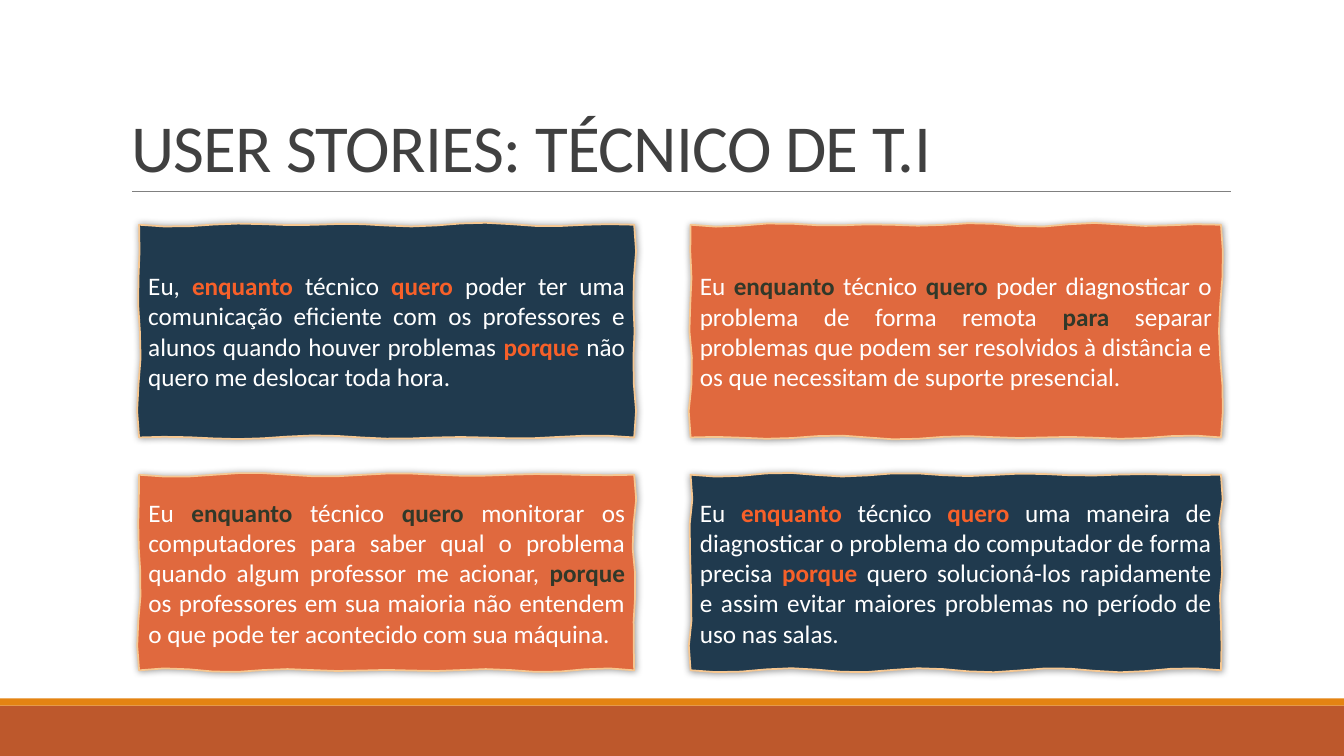
import math
from collections import namedtuple

from lxml import etree
from pptx import Presentation
from pptx.dml.color import RGBColor
from pptx.enum import shapes, text
from pptx.oxml import ns
from pptx.util import Inches, Pt

NAVY = RGBColor(0x20, 0x3A, 0x4E)
ORANGE = RGBColor(0xE0, 0x69, 0x3E)
BRIGHT_ORANGE = RGBColor(0xF7, 0x60, 0x29)
DARK_OLIVE = RGBColor(0x31, 0x38, 0x29)
CREAM = RGBColor(0xF6, 0xC7, 0x91)
WHITE = RGBColor(0xFF, 0xFF, 0xFF)
TITLE_GRAY = RGBColor(0x40, 0x40, 0x40)
RULE_GRAY = RGBColor(0x80, 0x80, 0x80)
BAND_RUST = RGBColor(0xBD, 0x58, 0x2C)
BAND_AMBER = RGBColor(0xE4, 0x83, 0x12)
FONT = "Calibri"
WAVE = 0.02  # height of the ragged edge, in inches

Box = namedtuple("Box", "left top width height")
Theme = namedtuple("Theme", "fill keyword")
NAVY_CARD = Theme(NAVY, BRIGHT_ORANGE)
ORANGE_CARD = Theme(ORANGE, DARK_OLIVE)

COLUMNS = [(1.38, 4.91), (6.85, 5.26)]  # left, width
ROWS = [(2.23, 2.11), (4.71, 1.94)]  # top, height

# Asterisks enclose the keywords of each story
STORIES = [
    [
        "Eu, *enquanto *técnico *quero *poder ter uma comunicação eficiente com os "
        "professores e alunos quando houver problemas *porque *não quero me deslocar "
        "toda hora.",
        "Eu *enquanto *técnico *quero *poder diagnosticar o problema de forma remota "
        "*para* separar problemas que podem ser resolvidos à distância e os que "
        "necessitam de suporte presencial.",
    ],
    [
        "Eu *enquanto *técnico *quero *monitorar os computadores para saber qual o "
        "problema quando algum professor me acionar, *porque *os professores em sua "
        "maioria não entendem o que pode ter acontecido com sua máquina.",
        "Eu *enquanto *técnico *quero *uma maneira de diagnosticar o problema do "
        "computador de forma precisa *porque* quero solucioná-los rapidamente e assim "
        "evitar maiores problemas no período de uso nas salas.",
    ],
]


def add_effects(shape):
    return etree.SubElement(shape._element.spPr, ns.qn("a:effectLst"))


def add_soft_shadow(shape):
    glow = etree.SubElement(add_effects(shape), ns.qn("a:outerShdw"),
                            blurRad=str(Pt(5)), dist="0", dir="0", algn="ctr", rotWithShape="0")
    black = etree.SubElement(glow, ns.qn("a:srgbClr"), val="000000")
    etree.SubElement(black, ns.qn("a:alpha"), val="40000")


def ragged_points(box, seed):
    """Walk clockwise round the box, swaying across each edge."""
    left, top, width, height = box
    right, bottom = left + width, top + height
    corners = [(left, top), (right, top), (right, bottom), (left, bottom), (left, top)]
    points = []
    for side, ((x1, y1), (x2, y2)) in enumerate(zip(corners, corners[1:])):
        length = math.hypot(x2 - x1, y2 - y1)
        steps = round(length / 0.25)
        waves = round(length * 1.5) + (seed + side) % 3
        for step in range(steps):
            t = step / steps
            sway = WAVE * (0.6 * math.sin(math.pi * waves * t)
                           + 0.4 * math.sin(math.pi * (waves // 2 + seed) * t))
            points.append((Inches(x1 + (x2 - x1) * t + sway * (y2 - y1) / length),
                           Inches(y1 + (y2 - y1) * t + sway * (x2 - x1) / length)))
    return points


def add_story_card(slide, box, story, theme, seed):
    # Ragged sheet with a cream edge
    start, *others = ragged_points(box, seed)
    outline = slide.shapes.build_freeform(*start)
    outline.add_line_segments(others, close=True)
    card = outline.convert_to_shape()
    card.fill.solid()
    card.fill.fore_color.rgb = theme.fill
    card.line.color.rgb = CREAM
    card.line.width = Pt(1.25)
    add_soft_shadow(card)

    # Story with highlighted keywords
    frame = card.text_frame
    frame.word_wrap = True
    frame.vertical_anchor = text.MSO_ANCHOR.MIDDLE
    frame.margin_left = frame.margin_right = Inches(0.1 + WAVE / 2)
    paragraph = frame.paragraphs[0]
    paragraph.alignment = text.PP_ALIGN.JUSTIFY
    for index, words in enumerate(story.split("*")):
        is_keyword = index % 2 == 1
        run = paragraph.add_run()
        run.text = words
        run.font.name = FONT
        run.font.size = Pt(18)
        run.font.bold = is_keyword
        run.font.color.rgb = theme.keyword if is_keyword else WHITE


def add_story_grid(slide):
    for row, (top, height) in enumerate(ROWS):
        for column, (left, width) in enumerate(COLUMNS):
            theme = NAVY_CARD if row == column else ORANGE_CARD
            add_story_card(slide, Box(left, top, width, height),
                           STORIES[row][column], theme, seed=2 * row + column + 1)


def add_heading(slide, box):
    heading = slide.shapes.title
    heading.left, heading.top, heading.width, heading.height = map(Inches, box)
    frame = heading.text_frame
    frame.word_wrap = True
    frame.auto_size = text.MSO_AUTO_SIZE.NONE
    frame.vertical_anchor = text.MSO_ANCHOR.BOTTOM
    paragraph = frame.paragraphs[0]
    paragraph.alignment = text.PP_ALIGN.LEFT
    paragraph.line_spacing = 0.85
    run = paragraph.add_run()
    run.text = "USER STORIES: TÉCNICO DE T.I"
    run.font.name = FONT
    run.font.size = Pt(48)
    run.font.color.rgb = TITLE_GRAY
    run.font._element.set("spc", "-50")

    # Rule under the heading
    left, bottom = box.left + 0.11, box.top + box.height
    rule = slide.shapes.add_connector(shapes.MSO_CONNECTOR.STRAIGHT, Inches(left), Inches(bottom),
                                      Inches(left + 10.9), Inches(bottom))
    rule.line.color.rgb = RULE_GRAY
    rule.line.width = Pt(0.5)
    add_effects(rule)


def add_footer_bands(slide, box):
    stripe = 0.07
    for top, height, color in [(box.top + stripe, box.height - stripe, BAND_RUST),
                               (box.top, stripe, BAND_AMBER)]:
        band = slide.shapes.add_shape(shapes.MSO_SHAPE.RECTANGLE, Inches(box.left), Inches(top),
                                      Inches(box.width), Inches(height))
        band.fill.solid()
        band.fill.fore_color.rgb = color
        band.line.fill.background()
        band.shadow.inherit = False


def main():
    deck = Presentation()
    deck.slide_width, deck.slide_height = Inches(13.33), Inches(7.5)
    slide = deck.slides.add_slide(deck.slide_layouts.get_by_name("Title Only"))
    add_footer_bands(slide, Box(0, 6.93, 13.33, 0.57))
    add_heading(slide, Box(1.2, 0.31, 11, 1.59))
    add_story_grid(slide)
    deck.save("out.pptx")


if __name__ == "__main__":
    main()
